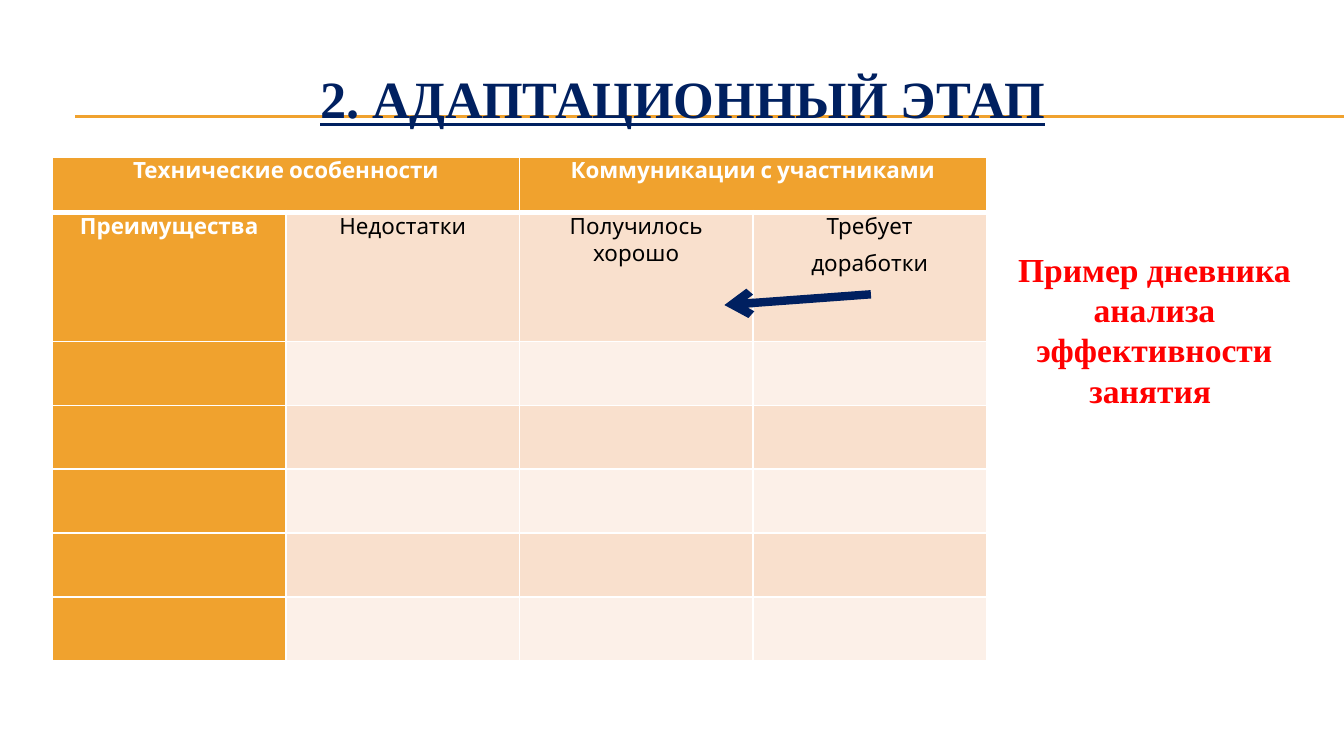
from dataclasses import dataclass

from lxml import etree
from pptx import Presentation
from pptx import util as u
from pptx.dml.color import RGBColor
from pptx.enum import shapes, text
from pptx.oxml.ns import qn


@dataclass(frozen=True)
class Theme:
    """Colours, fonts and type sizes of the slide."""
    navy: str = "002060"
    orange: str = "F0A22E"
    bands: tuple = ("F9E0CD", "FCF0E8")
    white: str = "FFFFFF"
    black: str = "000000"
    red: str = "FF0000"
    serif: str = "Times New Roman"
    sans: str = "Cabin"
    title: float = 28
    note: float = 18
    table: float = 12


THEME = Theme()


def write(frame, lines, color, paragraph_format=None, **font_format):
    """Write centred paragraphs that share one format."""
    for index, line in enumerate(lines):
        para = frame.add_paragraph() if index else frame.paragraphs[0]
        para.alignment = text.PP_ALIGN.CENTER
        for name, value in (paragraph_format or {}).items():
            setattr(para, name, value)
        span = para.add_run()
        span.text = line
        span.font.color.rgb = RGBColor.from_string(color)
        for name, value in font_format.items():
            setattr(span.font, name, value)


def add_text(page, box, line, color, anchor, **font_format):
    """Add a wrapped text box."""
    frame = page.shapes.add_textbox(*map(u.Inches, box)).text_frame
    frame.word_wrap = True
    frame.vertical_anchor = anchor
    write(frame, [line], color, name=THEME.serif, bold=True, **font_format)


def add_line(page, start, end, color, width, arrow=False):
    """Draw a straight line, with an optional arrowhead at its end."""
    line = page.shapes.add_connector(
        shapes.MSO_CONNECTOR.STRAIGHT, *map(u.Inches, (*start, *end)))
    line.line.color.rgb = RGBColor.from_string(color)
    line.line.width = u.Pt(width)
    if arrow:
        etree.SubElement(line.line._get_or_add_ln(), qn("a:tailEnd"), type="arrow")
    etree.SubElement(line._element.spPr, qn("a:effectLst"))


def add_heading(page, box):
    """Place the title over a double rule that runs to the slide edge."""
    left, top, width, height = box
    for offset in (0.48, 0.49):
        add_line(page, (left + 0.23, top + offset), (10, top + offset),
                 THEME.orange, 0.75)
    add_text(page, box, "2. АДАПТАЦИОННЫЙ ЭТАП", THEME.navy,
             text.MSO_ANCHOR.MIDDLE, size=u.Pt(THEME.title), underline=True)


def set_borders(cell, bottom):
    """Give a cell white borders ahead of its fill."""
    widths = {"a:lnL": 1, "a:lnR": 1, "a:lnT": 1, "a:lnB": bottom}
    for index, (tag, width) in enumerate(widths.items()):
        edge = etree.Element(qn(tag), w=str(u.Pt(width)))
        fill = etree.SubElement(edge, qn("a:solidFill"))
        etree.SubElement(fill, qn("a:srgbClr"), val=THEME.white)
        cell._tc.get_or_add_tcPr().insert(index, edge)


def add_diary(page, box):
    """Build the diary table with a header row, a header column and bands."""
    heading, labelled, empty_rows = 0.41, 0.96, 5
    empty = (box[3] - heading - labelled) / empty_rows
    heights = [heading, labelled] + [empty] * empty_rows
    labels = {
        (0, 0): ["Технические особенности"],
        (0, 2): ["Коммуникации с участниками"],
        (1, 0): ["Преимущества"],
        (1, 1): ["Недостатки"],
        (1, 2): ["Получилось хорошо"],
        (1, 3): ["Требует", "доработки"],
    }
    margins = {"margin_left": u.Inches(0.07), "margin_right": u.Inches(0.07),
               "margin_top": 0, "margin_bottom": 0}
    spacing = {"space_before": u.Pt(3), "space_after": u.Pt(2.2)}
    table = page.shapes.add_table(len(heights), 4, *map(u.Inches, box)).table
    for column in table.columns:
        column.width = u.Inches(box[2] / 4)
    for row, height in enumerate(heights):
        table.rows[row].height = u.Inches(height)
        for column in range(4):
            cell = table.cell(row, column)
            is_header = row == 0 or column == 0
            color = THEME.orange if is_header else THEME.bands[(row - 1) % 2]
            cell.fill.solid()
            cell.fill.fore_color.rgb = RGBColor.from_string(color)
            set_borders(cell, 1 if row else 3)
            for name, value in margins.items():
                setattr(cell, name, value)
            if (row, column) in labels:
                write(cell.text_frame, labels[row, column],
                      THEME.white if is_header else THEME.black, spacing,
                      name=THEME.sans, size=u.Pt(THEME.table), bold=is_header)
    for column in (0, 2):
        table.cell(0, column).merge(table.cell(0, column + 1))


def add_note(page, box):
    """Place the caption and the arrow that points back at the table."""
    left, top = box[:2]
    add_text(page, box, "Пример дневника анализа эффективности занятия ",
             THEME.red, text.MSO_ANCHOR.TOP, size=u.Pt(THEME.note))
    add_line(page, (left - 0.94, top + 0.39), (left - 2.03, top + 0.47),
             THEME.navy, 4.5, arrow=True)


def main():
    """Build and save the slide."""
    deck = Presentation()
    deck.slide_width, deck.slide_height = u.Inches(10), u.Inches(10 * 9 / 16)
    page = deck.slides.add_slide(deck.slide_layouts[6])
    add_heading(page, (0.33, 0.38, 9.5, 0.69))
    add_diary(page, (0.39, 1.17, 6.95, 3.75))
    add_note(page, (7.42, 1.8, 2.34, 1.31))
    deck.save("out.pptx")


if __name__ == "__main__":
    main()
